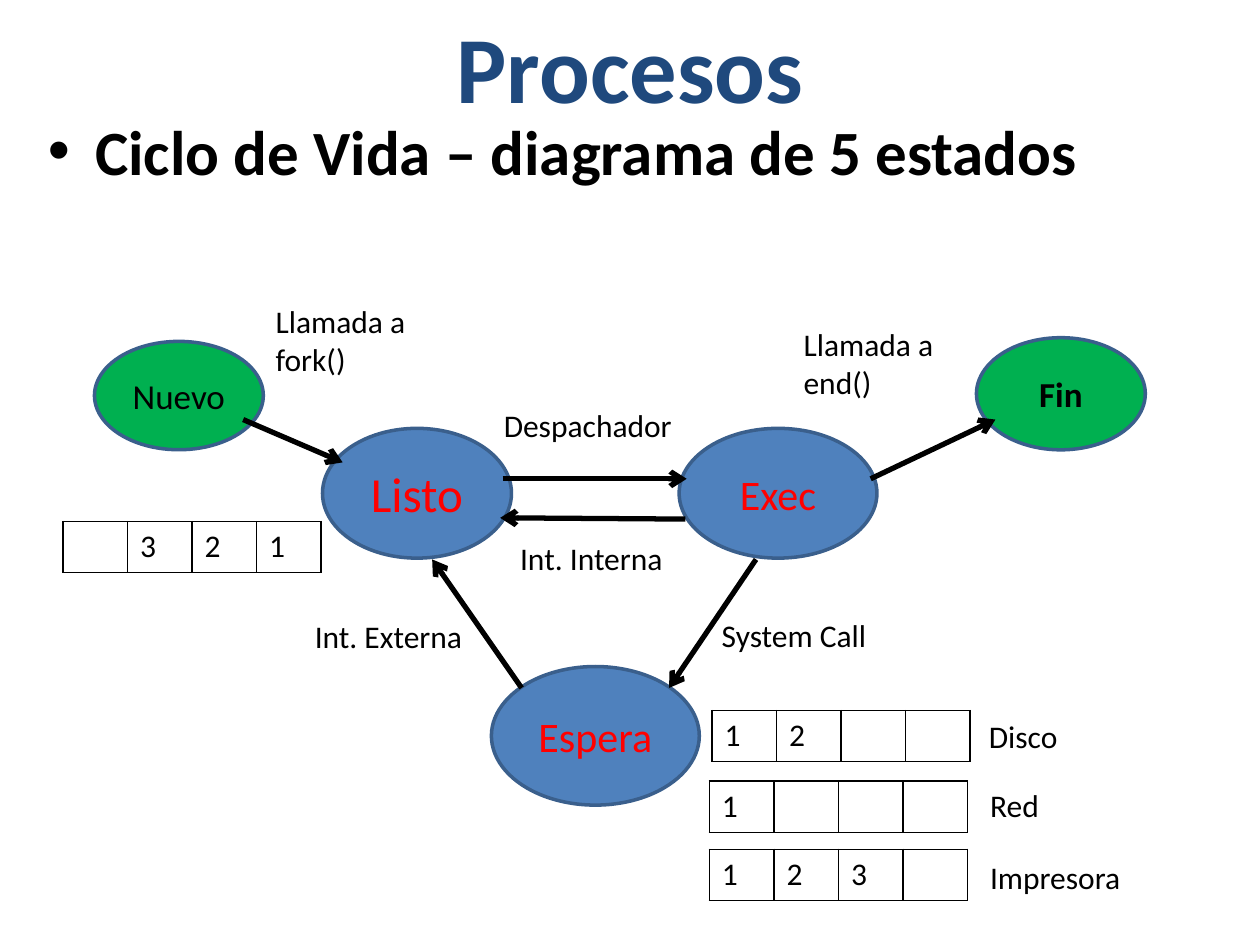
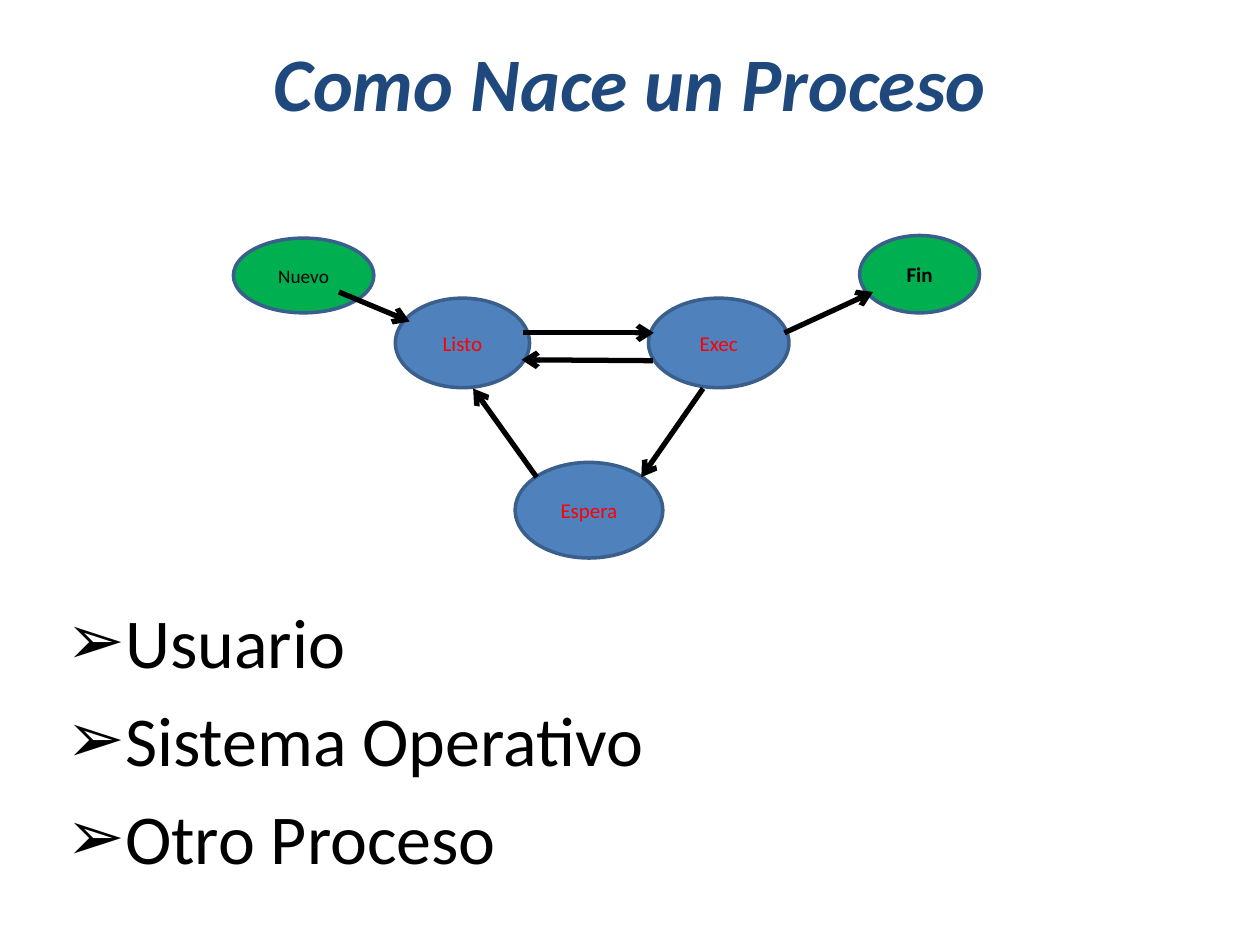
from dataclasses import dataclass

from lxml import etree
from pptx import Presentation
from pptx.dml.color import RGBColor
from pptx.enum.shapes import MSO_CONNECTOR, MSO_SHAPE
from pptx.enum.text import MSO_ANCHOR, MSO_AUTO_SIZE, PP_ALIGN
from pptx.oxml.ns import qn
from pptx.util import Inches, Pt


@dataclass(frozen=True)
class Theme:
    font: str = "Calibri"
    title: RGBColor = RGBColor(0x1F, 0x49, 0x7D)
    text: RGBColor = RGBColor(0, 0, 0)
    active_text: RGBColor = RGBColor(0xFF, 0, 0)
    end_fill: RGBColor = RGBColor(0, 0xB0, 0x50)
    active_fill: RGBColor = RGBColor(0x4F, 0x81, 0xBD)
    outline: RGBColor = RGBColor(0x3A, 0x5F, 0x8C)
    label_size: float = 18
    heading_size: float = 36
    list_size: float = 40


THEME = Theme()

# State: left, top, width, height, is an end state
STATES = {
    "Nuevo": (0.75, 2.71, 1.34, 0.86, True),
    "Exec": (5.39, 3.4, 1.57, 1.03, False),
    "Listo": (2.56, 3.4, 1.5, 1.03, False),
    "Fin": (7.75, 2.68, 1.34, 0.89, True),
    "Espera": (3.9, 5.29, 1.65, 1.1, False),
}

# Transition: start x, start y, end x, end y
TRANSITIONS = [
    (1.93, 3.33, 2.72, 3.67),
    (6.91, 3.8, 7.9, 3.33),
    (3.99, 3.8, 5.45, 3.8),
    (5.44, 4.12, 3.97, 4.11),
    (6, 4.44, 5.31, 5.46),
    (4.14, 5.46, 3.43, 4.44),
]

# Label: text, left, top, width, height
LABELS = [
    ("Disco", 7.75, 5.64, 1.1, 0.4),
    ("Red", 7.76, 6.19, 1.1, 0.4),
    ("Impresora", 7.76, 6.76, 1.34, 0.4),
    ("System Call", 5.63, 4.84, 1.47, 0.4),
    ("Int. Externa", 2.4, 4.85, 1.44, 0.4),
    ("Int. Interna", 4.03, 4.23, 1.44, 0.4),
    ("Llamada a fork()", 2.09, 2.35, 1.44, 0.71),
    ("Llamada a end()", 6.28, 2.53, 1.44, 0.71),
    ("Despachador", 3.9, 3.17, 1.57, 0.4),
]

# Queue: left, top, slots
QUEUES = [
    (0.5, 4.14, ["", "3", "2", "1"]),
    (5.65, 5.64, ["1", "2", "", ""]),
    (5.63, 6.2, ["1", "", "", ""]),
    (5.63, 6.74, ["1", "2", "3", ""]),
]


@dataclass(frozen=True)
class Placement:
    """Maps the life cycle diagram onto a slide."""
    left: float = 0
    top: float = 0
    scale_x: float = 1
    scale_y: float = 1

    def point(self, x, y):
        return (Inches(self.left + x * self.scale_x),
                Inches(self.top + y * self.scale_y))

    def size(self, width, height):
        return Inches(width * self.scale_x), Inches(height * self.scale_y)


def style_font(paragraph, size, color=THEME.text, bold=False, italic=False):
    font = paragraph.font
    font.name, font.size, font.color.rgb = THEME.font, Pt(size), color
    font.bold, font.italic = bold, italic


def move(shape, left, top, width, height):
    shape.left, shape.top = Inches(left), Inches(top)
    shape.width, shape.height = Inches(width), Inches(height)


def add_slide(presentation, title, box, size, italic=False):
    slide = presentation.slides.add_slide(presentation.slide_layouts[1])
    shape = slide.shapes.title
    move(shape, *box)
    shape.text_frame.text = title
    shape.text_frame.auto_size = MSO_AUTO_SIZE.NONE
    paragraph = shape.text_frame.paragraphs[0]
    paragraph.alignment = PP_ALIGN.CENTER
    style_font(paragraph, size, THEME.title, bold=True, italic=italic)
    return slide


def fill_body(slide, items, box, size, bullet, bold=False):
    body = slide.placeholders[1]
    move(body, *box)
    frame = body.text_frame
    frame.text = "\n".join(items)
    frame.auto_size = MSO_AUTO_SIZE.NONE
    for paragraph in frame.paragraphs:
        style_font(paragraph, size, bold=bold)
        properties = paragraph._p.get_or_add_pPr()
        etree.SubElement(properties, qn("a:buFont"), typeface="Arial")
        etree.SubElement(properties, qn("a:buChar"), char=bullet)


def add_state(shapes, placement, name, geometry, size):
    left, top, width, height, is_end = geometry
    shape = shapes.add_shape(MSO_SHAPE.OVAL, *placement.point(left, top),
                             *placement.size(width, height))
    shape.shadow.inherit = False
    shape.fill.solid()
    shape.fill.fore_color.rgb = THEME.end_fill if is_end else THEME.active_fill
    shape.line.color.rgb = THEME.outline
    shape.line.width = Pt(2)
    frame = shape.text_frame
    frame.text = name
    frame.word_wrap = False
    frame.vertical_anchor = MSO_ANCHOR.MIDDLE
    paragraph = frame.paragraphs[0]
    paragraph.alignment = PP_ALIGN.CENTER
    color = THEME.text if is_end else THEME.active_text
    style_font(paragraph, size, color, bold=name == "Fin")


def add_arrow(shapes, start, end):
    connector = shapes.add_connector(MSO_CONNECTOR.STRAIGHT, *start, *end)
    connector.line.color.rgb = THEME.text
    connector.line.width = Pt(3)
    properties = connector._element.spPr
    etree.SubElement(properties.find(qn("a:ln")), qn("a:tailEnd"), type="arrow")
    etree.SubElement(properties, qn("a:effectLst"))


def add_life_cycle(slide, placement, states, sizes):
    shapes = slide.shapes.add_group_shape().shapes
    for name, geometry in states.items():
        add_state(shapes, placement, name, geometry, sizes[name])
    for x1, y1, x2, y2 in TRANSITIONS:
        add_arrow(shapes, placement.point(x1, y1), placement.point(x2, y2))


def add_label(slide, text, left, top, width, height):
    box = slide.shapes.add_textbox(Inches(left), Inches(top),
                                   Inches(width), Inches(height))
    box.text_frame.word_wrap = True
    box.text_frame.text = text
    style_font(box.text_frame.paragraphs[0], THEME.label_size)


def add_cell_borders(cell):
    properties = cell._tc.get_or_add_tcPr()
    for side in ("lnL", "lnR", "lnT", "lnB"):
        line = etree.SubElement(properties, qn(f"a:{side}"), w=str(Pt(1)))
        fill = etree.SubElement(line, qn("a:solidFill"))
        etree.SubElement(fill, qn("a:srgbClr"), val=str(THEME.text))


def add_queue(slide, left, top, slots):
    table = slide.shapes.add_table(1, len(slots), Inches(left), Inches(top),
                                   Inches(2.05), Inches(0.4)).table
    table.first_row = table.horz_banding = False
    for cell, slot in zip(table.rows[0].cells, slots):
        cell.text = slot
        style_font(cell.text_frame.paragraphs[0], THEME.label_size)
        add_cell_borders(cell)
        cell.fill.background()


def build_states_slide(presentation):
    slide = add_slide(presentation, "Procesos", (0.5, 0.13, 9, 0.79), 54)
    fill_body(slide, ["Ciclo de Vida – diagrama de 5 estados"],
              (0.28, 0.84, 9.45, 6.46), THEME.heading_size, "•", bold=True)
    sizes = {"Nuevo": 20, "Exec": 24, "Listo": 28, "Fin": 20, "Espera": 24}
    add_life_cycle(slide, Placement(), STATES, sizes)
    for queue in QUEUES:
        add_queue(slide, *queue)
    for label in LABELS:
        add_label(slide, *label)


def build_birth_slide(presentation):
    slide = add_slide(presentation, "Como Nace un Proceso",
                      (0.5, 0.21, 9, 0.87), 43.2, italic=True)
    fill_body(slide, ["Usuario", "Sistema Operativo", "Otro Proceso"],
              (0.43, 4.7, 9, 2.68), THEME.list_size, "➢")
    # The same diagram, reduced, with a wider first state
    states = STATES | {"Nuevo": (0.75, 2.71, 1.57, 0.86, True)}
    sizes = dict.fromkeys(STATES, 12) | {"Nuevo": 11}
    add_life_cycle(slide, Placement(1.32, 0.02, 0.71, 0.69), states, sizes)


def main():
    presentation = Presentation()
    presentation.slide_width = Inches(10)
    presentation.slide_height = Inches(7.5)
    build_states_slide(presentation)
    build_birth_slide(presentation)
    presentation.save("out.pptx")


if __name__ == "__main__":
    main()
